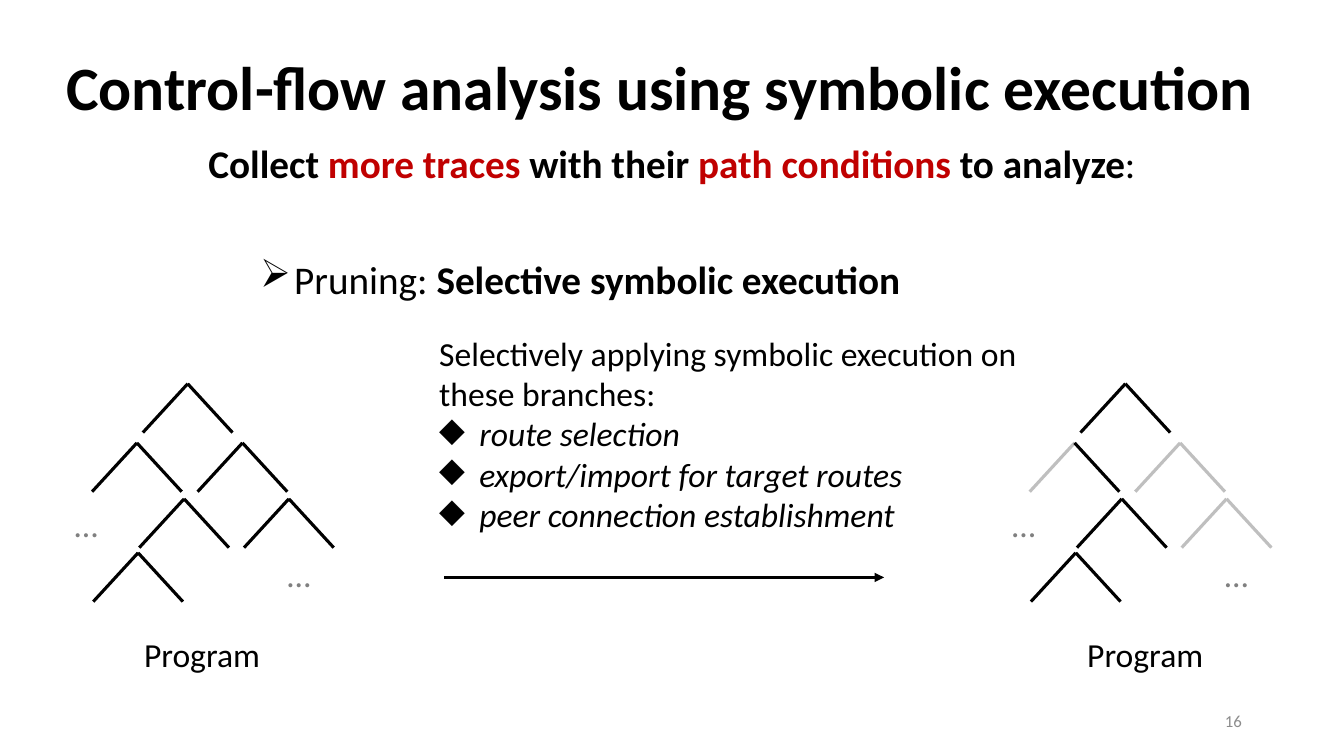
from lxml import etree
from pptx import Presentation
from pptx.dml.color import RGBColor
from pptx.enum.shapes import MSO_CONNECTOR
from pptx.enum.text import MSO_ANCHOR, PP_ALIGN
from pptx.oxml.ns import qn
from pptx.util import Cm, Pt

STRAIGHT = MSO_CONNECTOR.STRAIGHT
TOP, MIDDLE = MSO_ANCHOR.TOP, MSO_ANCHOR.MIDDLE
LEFT, CENTER, RIGHT = PP_ALIGN.LEFT, PP_ALIGN.CENTER, PP_ALIGN.RIGHT
COLORS = {"black": "000000", "red": "C00000", "gray": "808080",
          "number": "8C8C8C", "pruned": "BFBFBF"}


def add_text(shapes, box, paragraphs, size, align=LEFT, anchor=TOP, spacing=1.0):
    """Each paragraph is (bullet, indent in cm, runs); a run is (text, color, style)."""
    sp = shapes.add_textbox(*[Cm(v) for v in box])
    tf = sp.text_frame
    tf.word_wrap = True
    tf.vertical_anchor = anchor
    for i, (bullet, indent, runs) in enumerate(paragraphs):
        p = tf.add_paragraph() if i else tf.paragraphs[0]
        p.alignment = align
        p.line_spacing = spacing
        if bullet:
            pPr = p._p.get_or_add_pPr()
            pPr.set("marL", str(Cm(indent)))
            pPr.set("indent", str(-Cm(indent)))
            etree.SubElement(pPr, qn("a:buChar")).set("char", bullet)
        for text, color, style in runs:
            r = p.add_run()
            r.text = text
            r.font.name = "Calibri"
            r.font.size = Pt(size)
            r.font.bold = style == "bold"
            r.font.italic = style == "italic"
            r.font.color.rgb = RGBColor.from_string(COLORS[color])


def add_line(shapes, x1, y1, x2, y2, color="black"):
    line = shapes.add_connector(STRAIGHT, Cm(x1), Cm(y1), Cm(x2), Cm(y2))
    line.line.width = Pt(2.25)
    line.line.color.rgb = RGBColor.from_string(COLORS[color])
    etree.SubElement(line._element.spPr, qn("a:effectLst"))
    return line


prs = Presentation()
prs.slide_width, prs.slide_height = Cm(33.87), Cm(19.05)
s = prs.slides.add_slide(prs.slide_layouts[6])

# Title, lead sentence and slide number
add_text(s.shapes, (1.42, 0.43, 30.63, 3.68),
         [(None, 0, [("Control-flow analysis using symbolic execution", "black", "bold")])],
         44, anchor=MIDDLE, spacing=0.9)
add_text(s.shapes, (0.69, 3.51, 32.49, 1.5),
         [(None, 0, [("Collect ", "black", "bold"),
                     ("more traces ", "red", "bold"),
                     ("with their", "black", "bold"),
                     (" path conditions ", "red", "bold"),
                     ("to analyze", "black", "bold"),
                     (":", "black", None)])],
         28, CENTER, spacing=0.9)
add_text(s.shapes, (23.93, 17.65, 7.62, 1.02),
         [(None, 0, [("16", "number", None)])], 12, RIGHT, MIDDLE)

# Pruning heading and selected branches
add_text(s.shapes, (4.7, 6.3, 19.84, 1.5),
         [("➢", 0.86, [("Pruning: ", "black", None),
                       ("Selective symbolic execution", "black", "bold")])],
         28, CENTER)
branches = ["route selection", "export/import for target routes",
            "peer connection establishment"]
intro = "Selectively applying symbolic execution on these branches:"
add_text(s.shapes, (10.82, 8.26, 15.06, 5.38),
         [(None, 0, [(intro, "black", None)])]
         + [("◆", 1.01, [(b, "black", "italic")]) for b in branches], 24)

# Arrow from the full tree to the pruned tree
arrow = add_line(s.shapes, 11.2, 14.55, 22.28, 14.55)
etree.SubElement(arrow.line._get_or_add_ln(), qn("a:tailEnd")).set("type", "triangle")

# Program trees: each fork is apex x, apex y, then its left and right
# branch colors after pruning
FORK_W, FORK_H = 1.13, 1.23
forks = [(4.73, 9.67, "black", "black"),
         (3.45, 11.16, "pruned", "black"),
         (6.11, 11.16, "pruned", "pruned"),
         (4.64, 12.57, "black", "black"),
         (7.28, 12.57, "pruned", "pruned"),
         (3.48, 13.93, "black", "black")]
for dx, label_x, pruned in [(0, 3.38, False), (23.63, 27.15, True)]:
    tree = s.shapes.add_group_shape().shapes
    for x, y, *branch_colors in forks:
        for side, color in zip((-1, 1), branch_colors):
            add_line(tree, x + dx, y, x + dx + side * FORK_W, y + FORK_H,
                     color if pruned else "black")
    for x, y in [(1.63, 12.57), (6.99, 13.84)]:
        add_text(tree, (x + dx, y, 1.42, 1.27), [(None, 0, [("…", "gray", None)])], 24)
    add_text(tree, (label_x, 15.85, 3.91, 1.27),
             [(None, 0, [("Program", "black", None)])], 24)

prs.save("out.pptx")
